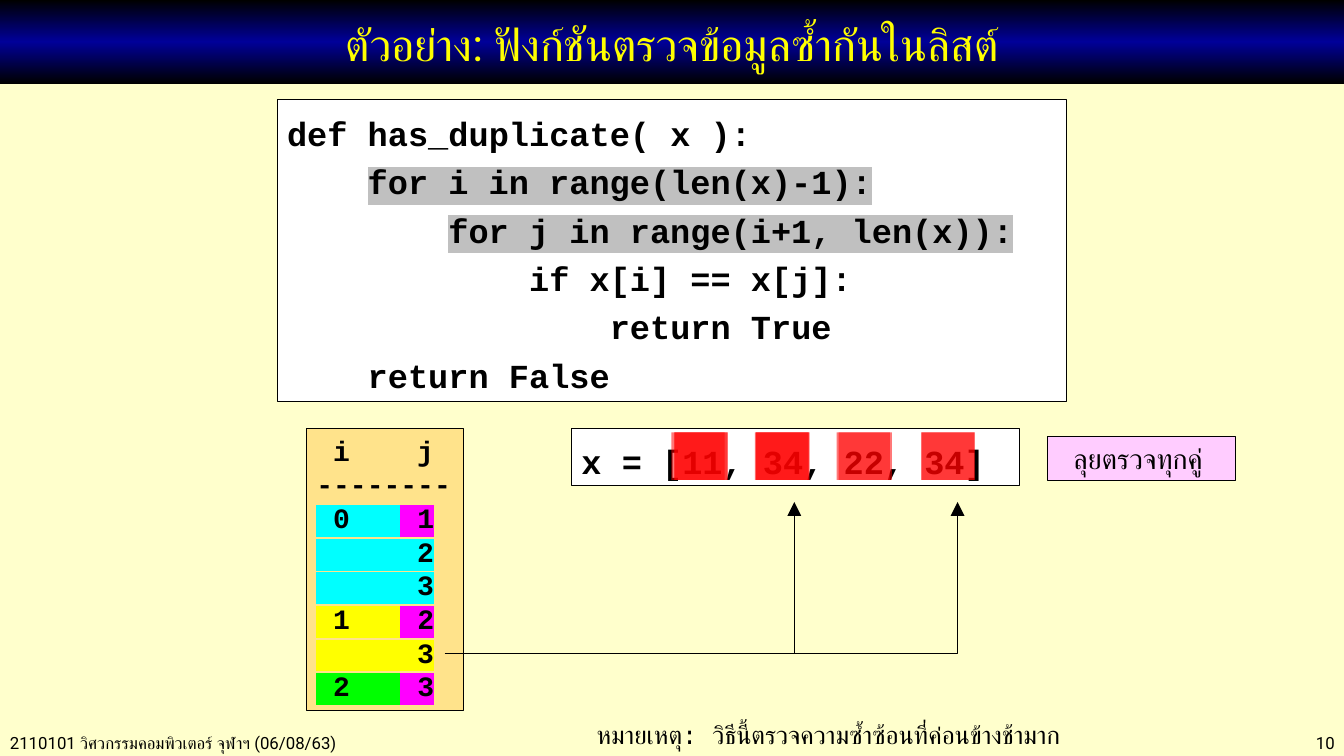
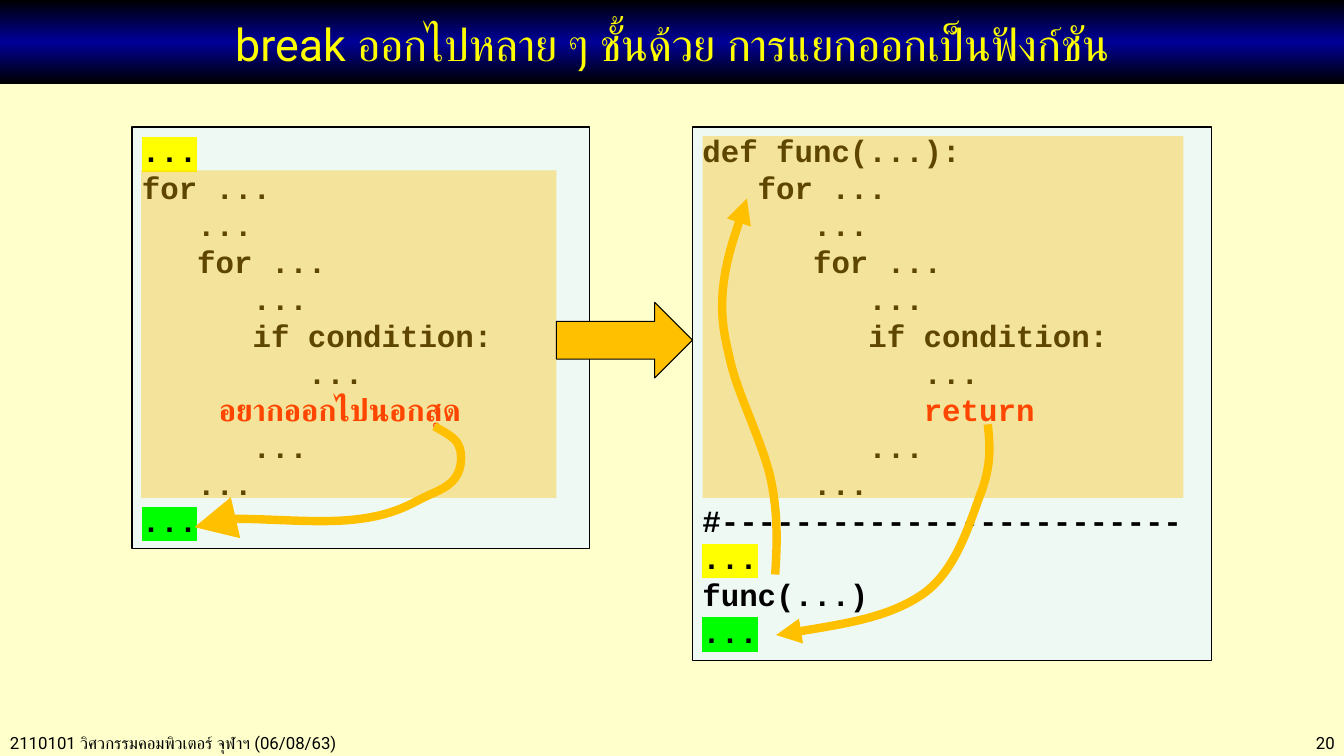
"""Builds two lecture slides on nested loops and leaving them through a function."""
from lxml import etree
from pptx import Presentation
from pptx.dml.color import RGBColor
from pptx.enum.shapes import MSO_CONNECTOR, MSO_SHAPE
from pptx.enum.text import MSO_ANCHOR, PP_ALIGN
from pptx.oxml.ns import qn
from pptx.util import Inches, Pt

RECTANGLE, RIGHT_ARROW = MSO_SHAPE.RECTANGLE, MSO_SHAPE.RIGHT_ARROW
STRAIGHT = MSO_CONNECTOR.STRAIGHT
TOP, MIDDLE = MSO_ANCHOR.TOP, MSO_ANCHOR.MIDDLE
LEFT, CENTER, RIGHT = PP_ALIGN.LEFT, PP_ALIGN.CENTER, PP_ALIGN.RIGHT

COLORS = {
    "background": "FFFFCC", "black": "000000", "navy": "000099", "white": "FFFFFF",
    "yellow": "FFFF00", "gray": "C0C0C0", "cyan": "00FFFF", "magenta": "FF00FF",
    "green": "00FF00", "red": "FF0000", "sand": "FFE38B", "pink": "FFCCFF",
    "mint": "EEF9F4", "amber": "FFC000",
}
CODE_FONT, TEXT_FONT = "Courier New", "Roboto"
FOOTER = "2110101 วิศวกรรมคอมพิวเตอร์ จุฬาฯ (06/08/63)"
TITLES = [
    ("ตัวอย่าง: ฟังก์ชันตรวจข้อมูลซ้ำกันในลิสต์", "10"),
    ("break ออกไปหลาย ๆ ชั้นด้วย การแยกออกเป็นฟังก์ชัน", "20"),
]


def add_box(slide, bounds, lines=(), fill=None, outline=True, opacity=100, preset=RECTANGLE,
            font=CODE_FONT, size=22, bold=True, color="black", align=LEFT, anchor=TOP, spacing=1.0):
    """Add a shape, or a text box if it has neither fill nor outline; a line is a string or runs."""
    position = [Inches(value) for value in bounds]
    if fill or outline:
        shape = slide.shapes.add_shape(preset, *position)
        shape.shadow.inherit = False
    else:
        shape = slide.shapes.add_textbox(*position)
    if fill:
        shape.fill.solid()
        shape.fill.fore_color.rgb = RGBColor.from_string(COLORS[fill])
        if opacity < 100:
            fill_color = shape._element.spPr.find(qn("a:solidFill"))[0]
            etree.SubElement(fill_color, qn("a:alpha"), val=str(opacity * 1000))
    else:
        shape.fill.background()
    if outline:
        shape.line.color.rgb = RGBColor.from_string(COLORS["black"])
        shape.line.width = Pt(0.75)
    else:
        shape.line.fill.background()
    frame = shape.text_frame
    frame.word_wrap = True
    frame.vertical_anchor = anchor
    for index, line in enumerate(lines):
        paragraph = frame.add_paragraph() if index else frame.paragraphs[0]
        paragraph.alignment = align
        paragraph.line_spacing = spacing
        for text, highlight, run_color in [(line, None, color)] if isinstance(line, str) else line:
            run = paragraph.add_run()
            run.text = text
            run.font.size = Pt(size)
            run.font.bold = bold
            run.font.color.rgb = RGBColor.from_string(COLORS[run_color])
            if highlight:
                mark = etree.SubElement(run._r.get_or_add_rPr(), qn("a:highlight"))
                etree.SubElement(mark, qn("a:srgbClr"), val=COLORS[highlight])
            run.font.name = font
    return shape


def style_arrow(shape, color, width, head):
    """Draw a shape's line as an arrow without shadow."""
    shape.line.color.rgb = RGBColor.from_string(COLORS[color])
    shape.line.width = Pt(width)
    properties = shape._element.spPr
    etree.SubElement(properties.find(qn("a:ln")), qn("a:tailEnd"), type="triangle", w=head, len=head)
    etree.SubElement(properties, qn("a:effectLst"))


presentation = Presentation()
presentation.slide_width, presentation.slide_height = Inches(40 / 3), Inches(7.5)
background = presentation.slide_master.background.fill
background.solid()
background.fore_color.rgb = RGBColor.from_string(COLORS["background"])

for title, number in TITLES:
    slide = presentation.slides.add_slide(presentation.slide_layouts[6])
    for bounds, text, align in [((0, 7.22, 5.2, 0.3), FOOTER, LEFT),
                                ((11.5, 7.22, 1.84, 0.3), number, RIGHT)]:
        add_box(slide, bounds, [text], outline=False, font=TEXT_FONT, size=12, bold=False, align=align)
    band = add_box(slide, (0, 0, 13.34, 0.83), [title], fill="navy", outline=False, font=TEXT_FONT,
                   size=32, bold=False, color="yellow", align=CENTER, anchor=MIDDLE)
    band.text_frame.margin_top = Inches(0.08)
    band.fill.gradient()
    band.fill.gradient_angle = 90
    stops = band._element.spPr.find(qn("a:gradFill")).find(qn("a:gsLst"))
    stops.clear()
    for position, name in [(0, "black"), (50, "navy"), (100, "black")]:
        stop = etree.SubElement(stops, qn("a:gs"), pos=str(position * 1000))
        etree.SubElement(stop, qn("a:srgbClr"), val=COLORS[name])

duplicate_slide, break_slide = presentation.slides

add_box(duplicate_slide, (2.75, 0.99, 7.83, 2.99), [
    "def has_duplicate( x ):",
    [("    ", None, "black"), ("for i in range(len(x)-1):", "gray", "black")],
    [("        ", None, "black"), ("for j in range(i+1, len(x)):", "gray", "black")],
    "            if x[i] == x[j]:",
    "                return True",
    "    return False",
], fill="white", size=24, spacing=1.2)

pair_lines = [" i    j", "--------"]
for i, mark in enumerate(["cyan", "yellow", "green"]):
    pair_lines.append([(f" {i}   ", mark, "black"), (f" {i + 1}", "magenta", "black")])
    for j in range(i + 2, 4):
        pair_lines.append([(f"      {j}", mark, "black")])
add_box(duplicate_slide, (3.04, 4.25, 1.56, 2.8), pair_lines, fill="sand", size=20)

add_box(duplicate_slide, (5.67, 4.25, 4.44, 0.57), ["x = [11, 34, 22, 34]"],
        fill="white", size=24, spacing=1.2)

builder = duplicate_slide.shapes.build_freeform(Inches(4.41), Inches(6.48))
builder.add_line_segments([(Inches(9.5), Inches(6.48)), (Inches(9.5), Inches(4.98))], close=False)
elbow = builder.convert_to_shape()
elbow.fill.background()
riser = duplicate_slide.shapes.add_connector(
    STRAIGHT, Inches(7.88), Inches(6.48), Inches(7.88), Inches(4.98))
for arrow in (elbow, riser):
    style_arrow(arrow, "black", 0.75, "lg")

add_box(duplicate_slide, (10.39, 4.33, 1.87, 0.44), ["ลุยตรวจทุกคู่ "],
        fill="pink", size=20, bold=False, align=CENTER)
add_box(duplicate_slide, (5.82, 7.09, 5.63, 0.41),
        ["หมายเหตุ: วิธีนี้ตรวจความซ้ำซ้อนที่ค่อนข้างช้ามาก"], outline=False, size=18, bold=False)

for compared_pair in [(6.69, 7.5), (6.66, 8.3), (6.69, 9.14), (7.49, 8.32), (7.5, 9.14)]:
    for left in compared_pair:
        add_box(duplicate_slide, (left, 4.29, 0.53, 0.47), fill="red", outline=False, opacity=53)

first_step = [("...", "yellow", "black")]
last_step = [("...", "green", "black")]
add_box(break_slide, (1.31, 1.26, 4.54, 4.18), [
    first_step,
    "for ...",
    "   ...",
    "   for ...",
    "      ...",
    "      if condition:",
    "         ...",
    [("         ", None, "black"), ("อยากออกไปนอกสุด", None, "red")],
    "      ...",
    "   ...",
    last_step,
], fill="mint")
add_box(break_slide, (6.87, 1.26, 5.15, 5.29), [
    "def func(...):",
    "   for ...",
    "      ...",
    "      for ...",
    "         ...",
    "         if condition:",
    "            ...",
    [("            ", None, "black"), ("return", None, "red")],
    "         ...",
    "      ...",
    "#-------------------------",
    first_step,
    "func(...)",
    last_step,
], fill="mint")
for bounds in [(1.4, 1.69, 4.12, 3.25), (6.97, 1.35, 4.77, 3.59)]:
    add_box(break_slide, bounds, fill="amber", outline=False, opacity=37)
add_box(break_slide, (5.52, 3, 1.35, 0.75), fill="amber", preset=RIGHT_ARROW)

curves = [
    ("lg", [(4.31, 4.23), (4.41, 4.29), (4.52, 4.34), (4.55, 4.42), (4.59, 4.5), (4.58, 4.64),
            (4.53, 4.72), (4.48, 4.8), (4.42, 4.84), (4.26, 4.91), (4.1, 4.98), (3.95, 5.1),
            (3.56, 5.15), (3.17, 5.2), (1.78, 5.07), (1.93, 5.23)]),
    ("med", [(7.69, 5.7), (7.71, 5.41), (7.72, 5.12), (7.65, 4.77), (7.58, 4.43), (7.34, 3.95),
             (7.26, 3.64), (7.18, 3.32), (7.15, 3.16), (7.17, 2.88), (7.2, 2.6), (7.3, 2.29),
             (7.41, 1.97)]),
    ("med", [(9.8, 4.21), (9.82, 4.4), (9.84, 4.59), (9.74, 4.87), (9.63, 5.15), (9.5, 5.65),
             (9.16, 5.89), (8.83, 6.12), (8.27, 6.21), (7.7, 6.3)]),
]
for head, controls in curves:
    points = [(Inches(x), Inches(y)) for x, y in controls]
    builder = break_slide.shapes.build_freeform(*points[0])
    builder.add_line_segments(points[3::3], close=False)
    curve = builder.convert_to_shape()
    curve.fill.background()
    for index, segment in enumerate(list(curve._element.spPr.iter(qn("a:lnTo")))):
        bezier = etree.Element(qn("a:cubicBezTo"))
        for x, y in points[3 * index + 1:3 * index + 4]:
            etree.SubElement(bezier, qn("a:pt"), x=str(x - curve.left), y=str(y - curve.top))
        segment.getparent().replace(segment, bezier)
    style_arrow(curve, "amber", 6, head)

presentation.save("out.pptx")
